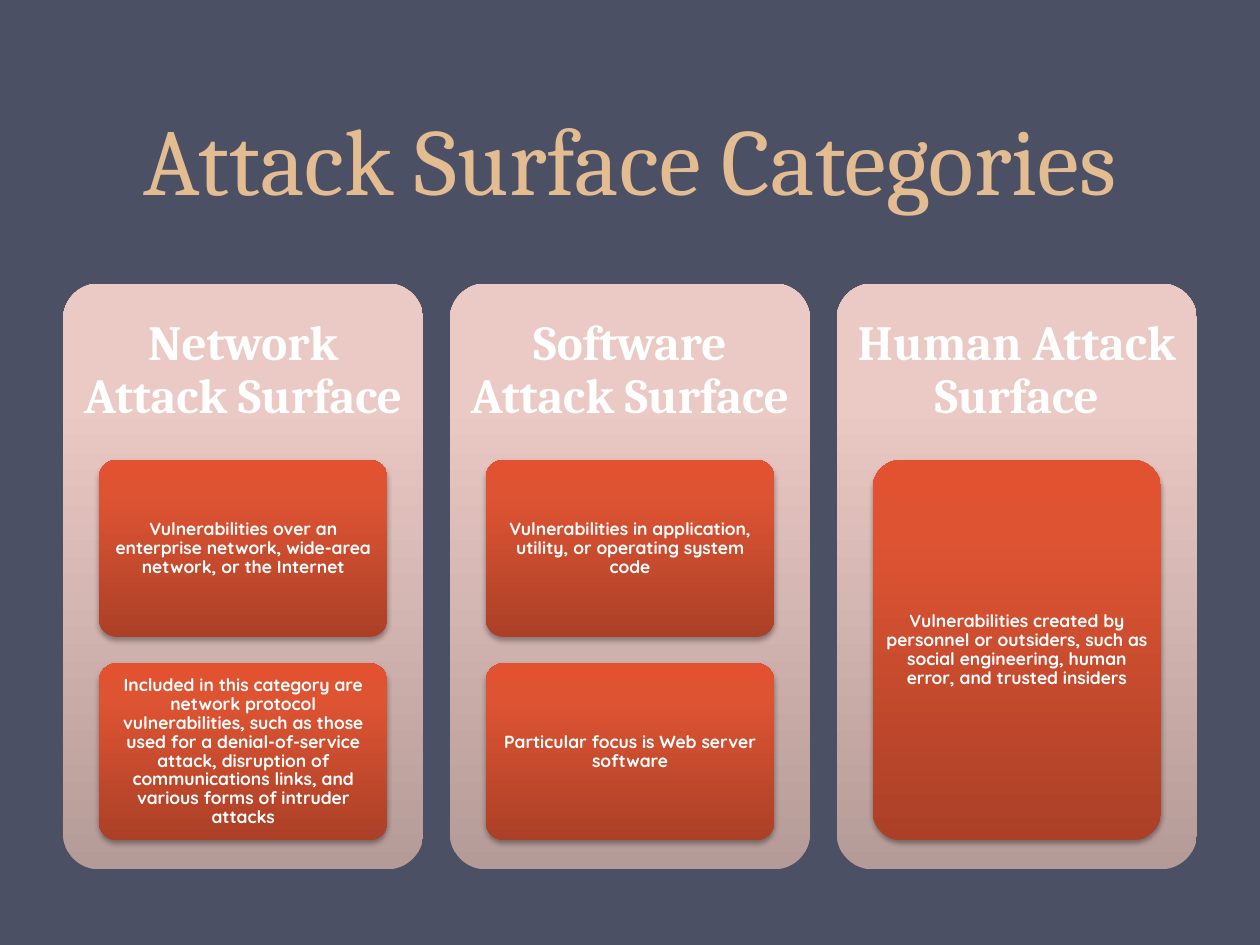
from copy import deepcopy
from dataclasses import dataclass

from lxml import etree
from pptx import Presentation
from pptx.dml.color import RGBColor
from pptx.enum.shapes import MSO_SHAPE
from pptx.enum.text import MSO_ANCHOR, MSO_AUTO_SIZE, PP_ALIGN
from pptx.oxml.ns import qn
from pptx.util import Inches, Pt

ROUND = MSO_SHAPE.ROUNDED_RECTANGLE
MIDDLE, BOTTOM = MSO_ANCHOR.MIDDLE, MSO_ANCHOR.BOTTOM
CENTER = PP_ALIGN.CENTER
FIXED = MSO_AUTO_SIZE.NONE


@dataclass(frozen=True)
class Theme:
    back: str = "4B5064"
    gold: str = "E3BC92"
    white: str = "FFFFFF"
    shade: str = "000000"
    # Gradient colours from bottom to top
    pink: tuple = ("B59B97", "EBC9C5", "EDC9C5")
    red: tuple = ("AB4027", "DE5433", "E35230")
    stops: tuple = (0, 0.8, 1)
    serif: str = "Cambria"
    sans: str = "Quicksand"
    title: int = 54
    head: int = 28
    note: int = 10


class Deck:
    def __init__(self, theme):
        self.theme = theme
        self.file = Presentation()
        self.file.slide_width, self.file.slide_height = Inches(10), Inches(7.5)
        self.slide = self.file.slides.add_slide(self.file.slide_layouts[5])
        fill = self.slide.background.fill
        fill.solid()
        fill.fore_color.rgb = RGBColor.from_string(theme.back)

    def label(self, frame, text, face, size, color, bold, inset, gap):
        """Fill a text frame with one centred paragraph."""
        frame.word_wrap = True
        frame.auto_size = FIXED
        frame.vertical_anchor = MIDDLE
        frame.margin_left = frame.margin_right = Inches(inset[0])
        frame.margin_top = frame.margin_bottom = Inches(inset[1])
        para = frame.paragraphs[0]
        para.text = text
        para.alignment = CENTER
        para.line_spacing = gap
        font = para.font
        font.name, font.size, font.bold = face, Pt(size), bold
        font.color.rgb = RGBColor.from_string(color)

    def title(self, text, x, y, w, h):
        t = self.theme
        box = self.slide.shapes.title
        box.left, box.top, box.width, box.height = map(Inches, (x, y, w, h))
        self.label(box.text_frame, text, t.serif, t.title, t.gold, False,
                   (0.1, 0.05), Pt(58))
        box.text_frame.vertical_anchor = BOTTOM

    def panel(self, colors, x, y, w, h):
        """Add a rounded box with a vertical three-colour gradient."""
        box = self.slide.shapes.add_shape(ROUND, *map(Inches, (x, y, w, h)))
        box.adjustments[0] = 0.1
        box.shadow.inherit = False
        box.line.fill.background()
        box.fill.gradient()
        box.fill.gradient_angle = 90
        stops = box.element.spPr.find(".//" + qn("a:gsLst"))
        stops.append(deepcopy(stops[0]))
        for stop, spot, color in zip(box.fill.gradient_stops,
                                     self.theme.stops, colors):
            stop.position = spot
            stop.color.rgb = RGBColor.from_string(color)
        return box

    def shadow(self, box):
        effect = box.element.spPr.find(qn("a:effectLst"))
        drop = etree.SubElement(
            effect, qn("a:outerShdw"), blurRad=str(Pt(3.1)),
            dist=str(Pt(1.8)), dir="5400000", rotWithShape="0")
        color = etree.SubElement(drop, qn("a:srgbClr"), val=self.theme.shade)
        etree.SubElement(color, qn("a:alpha"), val="35000")

    def head(self, text, x, y, w, h):
        t = self.theme
        box = self.slide.shapes.add_textbox(*map(Inches, (x, y, w, h)))
        self.label(box.text_frame, text, t.serif, t.head, t.white, True,
                   (0.12, 0.12), 0.9)

    def card(self, text, x, y, w, h):
        t = self.theme
        box = self.panel(t.red, x, y, w, h)
        self.shadow(box)
        self.label(box.text_frame, text, t.sans, t.note, t.white, True,
                   (0.03, 0.02), 0.9)


GROUPS = [
    ("Network Attack Surface", [
        "Vulnerabilities over an enterprise network, wide-area network, "
        "or the Internet",
        "Included in this category are network protocol vulnerabilities, "
        "such as those used for a denial-of-service attack, disruption of "
        "communications links, and various forms of intruder attacks"]),
    ("Software Attack Surface", [
        "Vulnerabilities in application, utility, or operating system code",
        "Particular focus is Web server software"]),
    ("Human Attack Surface", [
        "Vulnerabilities created by personnel or outsiders, such as social "
        "engineering, human error, and trusted insiders"]),
]


def main():
    deck = Deck(Theme())
    deck.title("Attack Surface Categories", 0.5, 0, 9, 1.75)

    # Columns share one pitch; cards share the height below the heading
    left, top, wide, tall, pitch = 0.5, 2.25, 2.86, 4.65, 3.07
    inner, start, room, gap = 2.29, 3.65, 3.02, 0.21
    for col, (name, notes) in enumerate(GROUPS):
        x = left + col * pitch
        deck.panel(deck.theme.pink, x, top, wide, tall)
        deck.head(name, x, top, wide, 1.39)
        high = (room - gap * (len(notes) - 1)) / len(notes)
        for row, note in enumerate(notes):
            deck.card(note, x + (wide - inner) / 2,
                      start + row * (high + gap), inner, high)

    deck.file.save("out.pptx")


if __name__ == "__main__":
    main()
